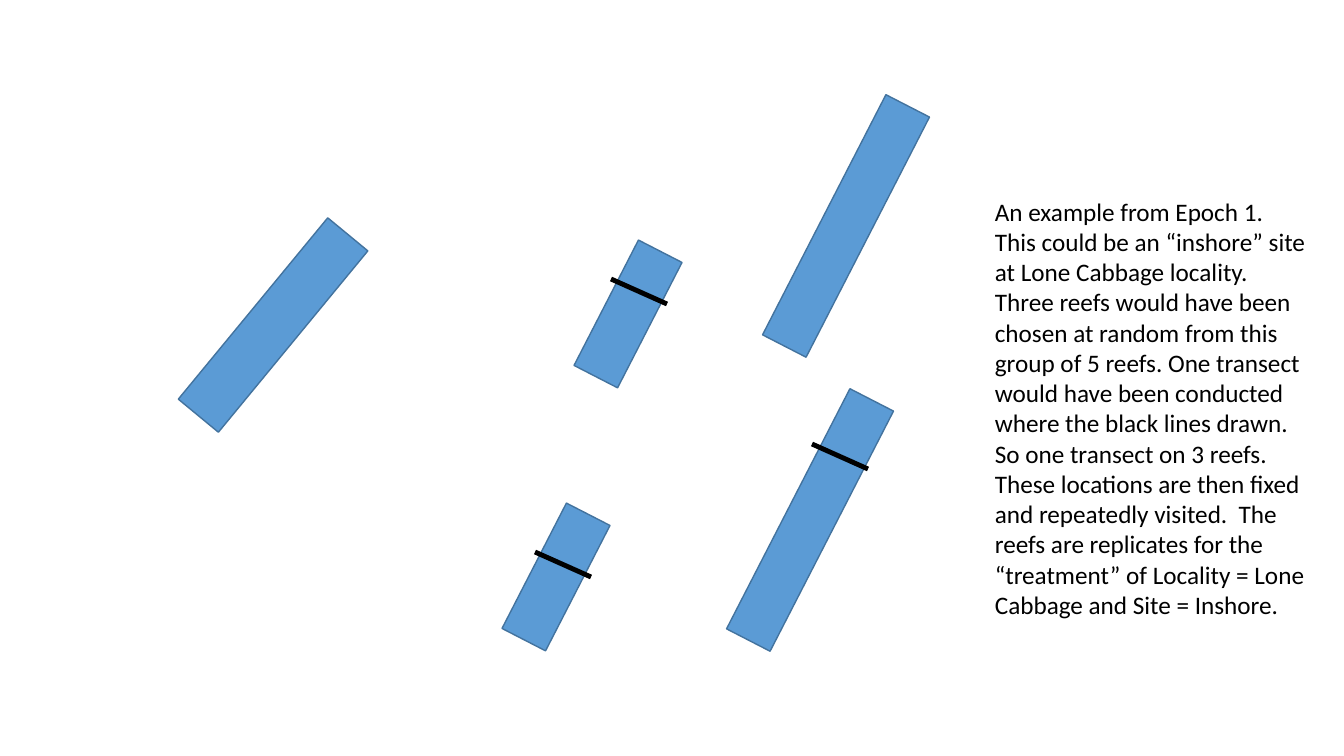
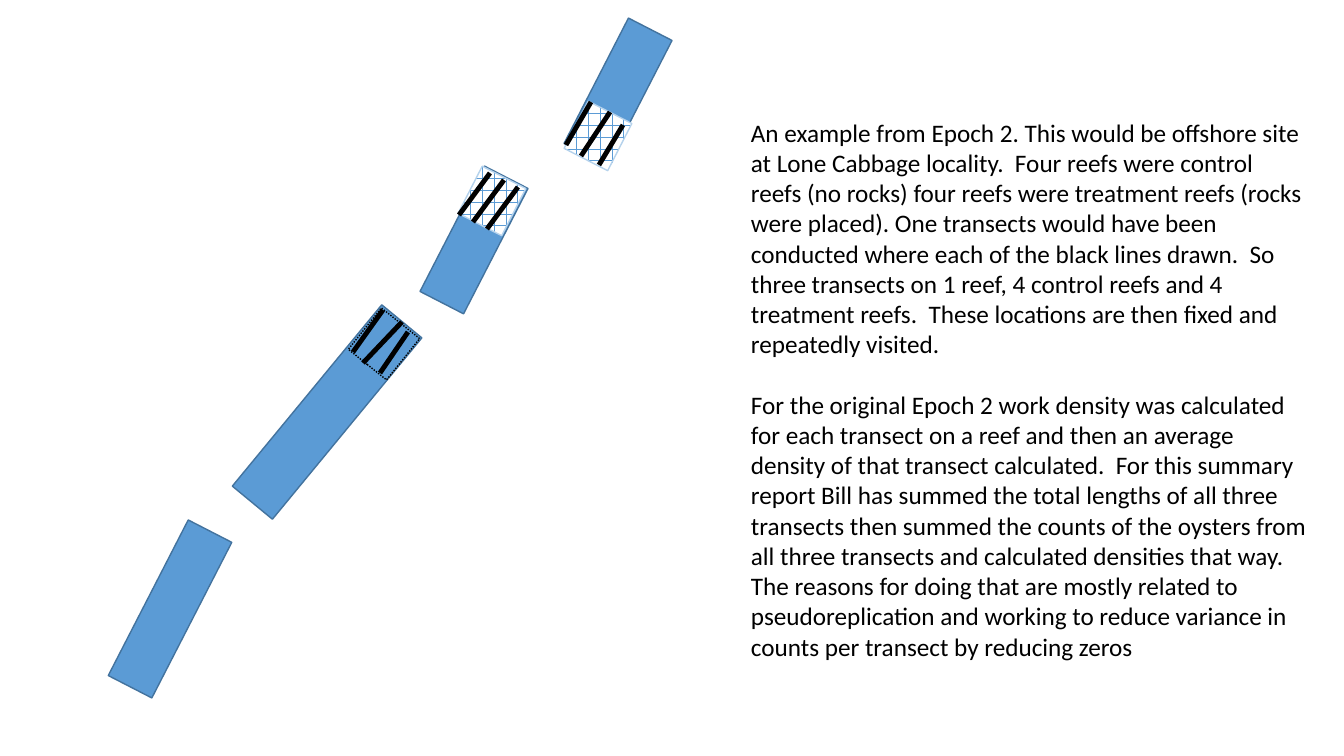
from lxml import etree
from pptx import Presentation
from pptx import util as u
from pptx.dml.color import RGBColor
from pptx.enum import dml, shapes, text
from pptx.oxml.ns import qn

PX = 914400 / 100.8
REEF, REEF_EDGE, ROCK_EDGE, WHITE, BLACK = "5B9BD5", "43739E", "B5D2EC", "FFFFFF", "000000"
TILT, WIDTH = 117.2, 49


def px(length):
    """Turn pixels into EMU."""
    return u.Emu(round(length * PX))


def colour(hex_code):
    """Turn a hex string into a colour."""
    return RGBColor.from_string(hex_code)


def block(slide, centre, size, angle, edge):
    """Draw a rotated rectangle around its centre."""
    (x, y), (w, h) = centre, size
    rect = slide.shapes.add_shape(shapes.MSO_SHAPE.RECTANGLE, px(x - w / 2), px(y - h / 2), px(w), px(h))
    rect.rotation = angle
    rect.shadow.inherit = False
    rect.line.color.rgb = colour(edge)
    rect.line.width = u.Pt(1)
    return rect


def reef(slide, centre, length, width=WIDTH, angle=TILT):
    """Draw one solid reef bar."""
    bar = block(slide, centre, (length, width), angle, REEF_EDGE)
    bar.fill.solid()
    bar.fill.fore_color.rgb = colour(REEF)


def transect(slide, start, end):
    """Draw one thick black transect line."""
    line = slide.shapes.add_connector(shapes.MSO_CONNECTOR.STRAIGHT, *map(px, (*start, *end)))
    line.line.color.rgb = colour(BLACK)
    line.line.width = u.Pt(3.5)
    etree.SubElement(line._element.spPr, qn("a:effectLst"))


def sampled_plot(slide, centre, angle, rocks, transects):
    """Draw a plot, with or without rocks, and the transects around its centre."""
    plot = block(slide, centre, (WIDTH, 53), angle, ROCK_EDGE if rocks else BLACK)
    if rocks:
        plot.fill.patterned()
        plot.fill.pattern = dml.MSO_PATTERN.HORIZONTAL_BRICK
        plot.fill.fore_color.rgb = colour(REEF)
        plot.fill.back_color.rgb = colour(WHITE)
    else:
        plot.fill.background()
        plot.line.dash_style = dml.MSO_LINE.ROUND_DOT
    x, y = centre
    for x1, y1, x2, y2 in transects:
        transect(slide, (x + x1, y + y1), (x + x2, y + y2))


def explanation(slide, box, paragraphs):
    """Write the explanatory text in its box."""
    frame = slide.shapes.add_textbox(*map(px, box)).text_frame
    frame.word_wrap = True
    frame.auto_size = text.MSO_AUTO_SIZE.SHAPE_TO_FIT_TEXT
    for index, wording in enumerate(paragraphs):
        paragraph = frame.paragraphs[0] if index == 0 else frame.add_paragraph()
        paragraph.space_before = u.Pt(21.6 if index else 0)
        run = paragraph.add_run()
        run.text = wording
        run.font.name = "Calibri"
        run.font.size = u.Pt(18)
        run.font.color.rgb = colour(BLACK)


def inshore_map(slide, left, top):
    """Draw five reefs, three of them crossed by one transect."""
    reef(slide, (left + 95, top + 230), 235, 52, 129.5)
    for x, y, length in ((632, 425, 270), (450, 219, 141), (378, 482, 141), (668, 131, 270)):
        reef(slide, (left + x, top + y), length)
    for x, y in ((433, 184), (634, 349), (357, 457)):
        transect(slide, (left + x, top + y), (left + x + 56, top + y + 25))


def offshore_map(slide, left, top):
    """Draw a chain of four reefs with three sampled plots."""
    reef(slide, (left + 219, top + 394), 235, 52, 129.5)
    for x, y, length in ((510, 74, 141), (366, 222, 141), (62, 591, 175)):
        reef(slide, (left + x, top + y), length)
    upper = ((-7, -34, -32, 9), (12, -24, -17, 20), (25, -11, 1, 29))
    middle = [(-2 + 14 * i, -28 + 7 * i, -33 + 14 * i, 14 + 7 * i) for i in range(3)]
    lower = ((-1, -34, -31, 8), (18, -22, -21, 19), (24, -12, -4, 29))
    sampled_plot(slide, (left + 490, top + 118), 27.1, True, upper)
    sampled_plot(slide, (left + 384, top + 183), 27.1, True, middle)
    sampled_plot(slide, (left + 276, top + 326), 38.7, False, lower)


EPOCH_1 = (
    "An example from Epoch 1. This could be an “inshore” site at Lone Cabbage locality.  "
    "Three reefs would have been chosen at random from this group of 5 reefs. "
    "One transect would have been conducted where the black lines drawn.  "
    "So one transect on 3 reefs.  These locations are then fixed and repeatedly visited.  "
    "The reefs are replicates for the “treatment” of Locality = Lone Cabbage and Site = Inshore.",
)
EPOCH_2 = (
    "An example from Epoch 2. This would be offshore site at Lone Cabbage locality.  "
    "Four reefs were control reefs (no rocks) four reefs were treatment reefs (rocks were placed). "
    "One transects would have been conducted where each of the black lines drawn.  "
    "So three transects on 1 reef, 4 control reefs and 4 treatment reefs.  "
    "These locations are then fixed and repeatedly visited.",
    "For the original Epoch 2 work density was calculated for each transect on a reef and then "
    "an average density of that transect calculated.  For this summary report Bill has summed "
    "the total lengths of all three transects then summed the counts of the oysters from all "
    "three transects and calculated densities that way.  The reasons for doing that are mostly "
    "related to pseudoreplication and working to reduce variance in counts per transect by "
    "reducing zeros",
)

deck = Presentation()
deck.slide_width, deck.slide_height = px(1344), px(756)
blank = deck.slide_layouts[6]

epoch_1 = deck.slides.add_slide(blank)
inshore_map(epoch_1, 178, 95)
explanation(epoch_1, (985, 191, 332, 437), EPOCH_1)

epoch_2 = deck.slides.add_slide(blank)
offshore_map(epoch_2, 108, 18)
explanation(epoch_2, (741, 112, 578, 559), EPOCH_2)

deck.save("out.pptx")
